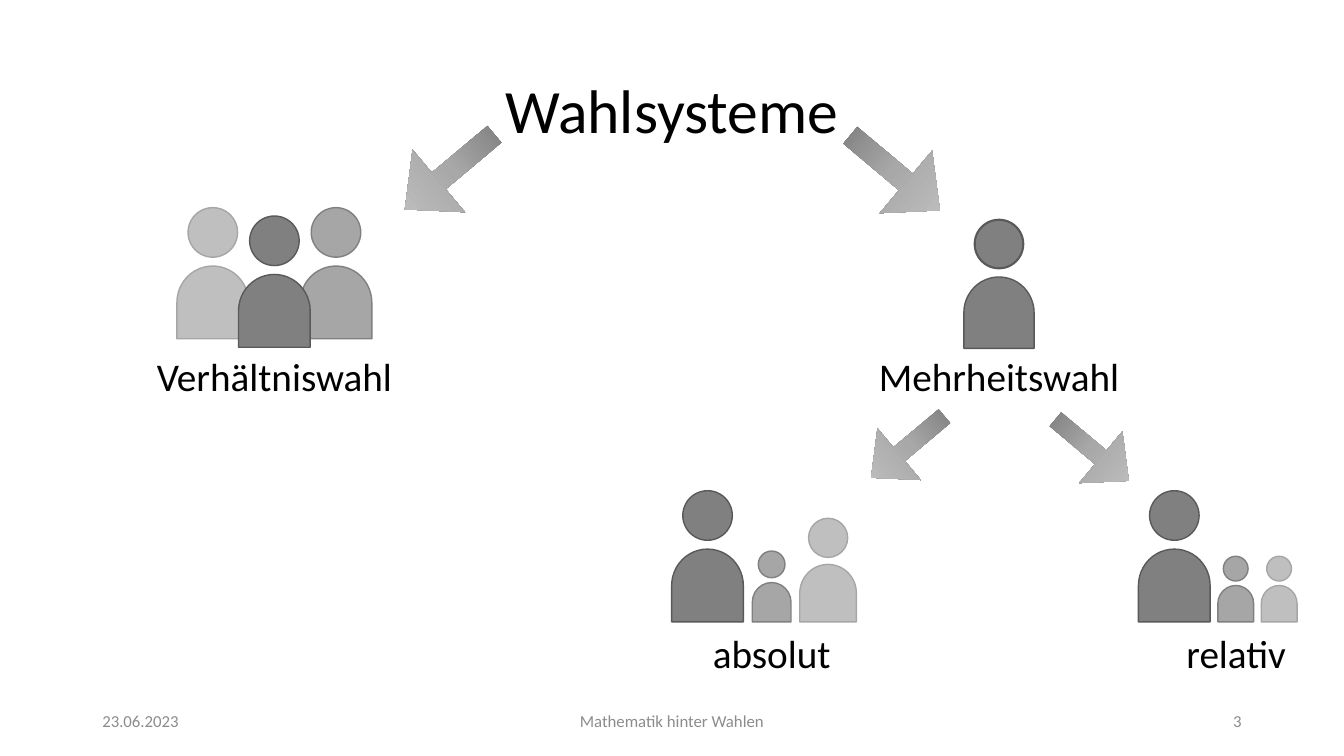
import copy

import pptx
import pptx.dml.color
import pptx.enum.shapes
import pptx.enum.text
import pptx.util

Pt = pptx.util.Pt
SHAPE = pptx.enum.shapes.MSO_SHAPE
ALIGN = pptx.enum.text.PP_ALIGN
ANCHOR = pptx.enum.text.MSO_ANCHOR
AUTO_SIZE = pptx.enum.text.MSO_AUTO_SIZE

# Fill and outline of a person
DARK = ("808080", "595959")
MEDIUM = ("A6A6A6", "808080")
LIGHT = ("BFBFBF", "A6A6A6")


def color(hex_string):
    return pptx.dml.color.RGBColor.from_string(hex_string)


def apply_format(target, values):
    for name, value in values.items():
        setattr(target, name, value)


class SlideBuilder:
    font_name = "Calibri"
    arrow_stops = ((0, "6F6F6F"), (0.48, "A8A8A8"), (1, "C9C9C9"))
    arrow_proportions = (0.265, 0.543)

    def __init__(self, slide):
        self.slide = slide

    def text(self, text, left, top, width, height, size,
             align=ALIGN.CENTER, text_color="000000", frame_format=None,
             line_spacing=None):
        shape = self.slide.shapes.add_textbox(
            Pt(left), Pt(top), Pt(width), Pt(height))
        apply_format(shape.text_frame, {
            "word_wrap": True, "vertical_anchor": ANCHOR.MIDDLE,
            **(frame_format or {})})
        paragraph = shape.text_frame.paragraphs[0]
        apply_format(paragraph, {
            "alignment": align, "line_spacing": line_spacing})
        run = paragraph.add_run()
        run.text = text
        apply_format(run.font, {"name": self.font_name, "size": Pt(size)})
        run.font.color.rgb = color(text_color)

    def label(self, text, center, top):
        self.text(text, center - 97, top, 194, 41, 28, frame_format={
            "vertical_anchor": ANCHOR.TOP,
            "auto_size": AUTO_SIZE.SHAPE_TO_FIT_TEXT})

    def footer(self, text, left, width, align):
        self.text(text, left, 500.5, width, 28.75, 12, align, "8C8C8C")

    def figure_part(self, group, kind, center, middle, width, height,
                    colors, line_width, rotation=0):
        shape = group.shapes.add_shape(
            kind, Pt(center - width / 2), Pt(middle - height / 2),
            Pt(width), Pt(height))
        shape.rotation = rotation
        shape.shadow.inherit = False
        shape.fill.solid()
        shape.fill.fore_color.rgb = color(colors[0])
        shape.line.color.rgb = color(colors[1])
        shape.line.width = Pt(line_width)

    def people(self, *persons, head_line=1):
        """Each person is (center, bottom, scale, colors), back to front."""
        group = self.slide.shapes.add_group_shape()
        for center, bottom, scale, colors in persons:
            self.figure_part(
                group, SHAPE.FLOWCHART_DELAY, center, bottom - 26 * scale,
                52 * scale, 51.2 * scale, colors, 1, rotation=270)
            self.figure_part(
                group, SHAPE.OVAL, center, bottom - 76 * scale,
                35.4 * scale, 35.4 * scale, colors, head_line)

    def arrow(self, left, top, width, height, to_left):
        shape = self.slide.shapes.add_shape(
            SHAPE.RIGHT_ARROW, Pt(left), Pt(top), Pt(width), Pt(height))
        shape.shadow.inherit = False
        shape.line.fill.background()
        shape.rotation = 320 if to_left else 40
        if to_left:
            shape._element.spPr.xfrm.set("flipH", "1")
        for index, proportion in enumerate(self.arrow_proportions):
            shape.adjustments[index] = proportion
        shape.fill.gradient()
        shape.fill.gradient_angle = 0
        # A third gradient stop
        stop_list = shape.fill._fill._gradFill.gsLst
        stop_list.append(copy.deepcopy(stop_list[0]))
        for stop, (position, hex_string) in zip(
                shape.fill.gradient_stops, self.arrow_stops):
            stop.position = position
            stop.color.rgb = color(hex_string)


def main():
    presentation = pptx.Presentation()
    apply_format(presentation, {
        "slide_width": Pt(960), "slide_height": Pt(540)})
    builder = SlideBuilder(
        presentation.slides.add_slide(presentation.slide_layouts[6]))

    # Title and footer
    builder.text("Wahlsysteme", 66, 28.75, 828, 104.4, 44, line_spacing=0.9)
    builder.footer("23.06.2023", 66, 216, ALIGN.LEFT)
    builder.footer("Mathematik hinter Wahlen", 318, 324, ALIGN.CENTER)
    builder.footer("3", 678, 216, ALIGN.RIGHT)

    # Proportional and majority voting
    builder.people((152, 242, 1, LIGHT), (240, 242, 1, MEDIUM),
                   (196, 248, 1, DARK))
    builder.label("Verhältniswahl", 196, 248.4)
    builder.people((713.6, 248.8, 0.98, DARK), head_line=1.5)
    builder.label("Mehrheitswahl", 713.6, 248.4)

    # Absolute and relative majority
    builder.people((591.5, 444.2, 0.79, LIGHT), (551.2, 444.2, 0.54, MEDIUM),
                   (505.4, 444.2, 1, DARK))
    builder.label("absolut", 551.2, 445.7)
    builder.people((913.7, 444.2, 0.5, LIGHT), (882.7, 444.2, 0.5, MEDIUM),
                   (838.8, 444.2, 1, DARK))
    builder.label("relativ", 883, 445.7)

    # Arrows from each level to the next
    builder.arrow(279.4, 93.6, 83.5, 58.3, True)
    builder.arrow(597.6, 94.3, 83.5, 58.3, False)
    builder.arrow(614.2, 295.2, 68.4, 48.2, True)
    builder.arrow(745.9, 297.4, 68.4, 48.2, False)

    presentation.save("out.pptx")


if __name__ == "__main__":
    main()
